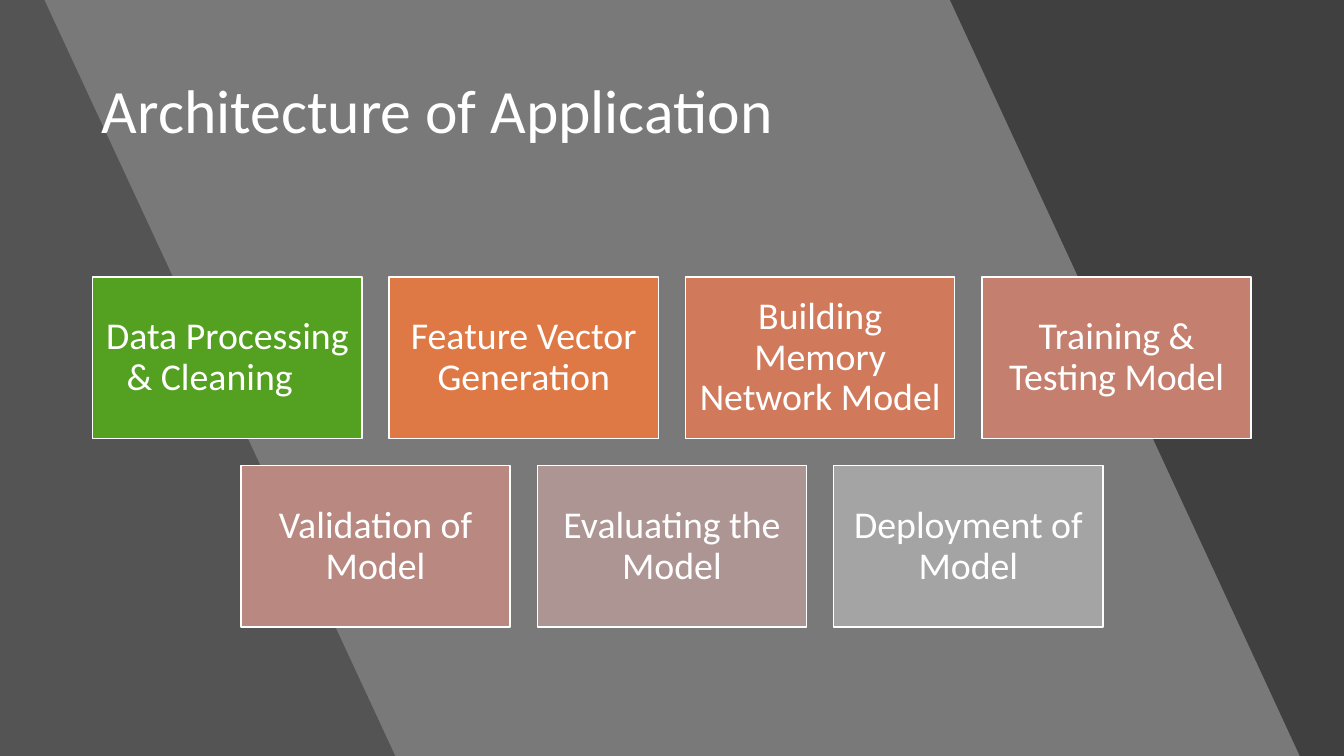
from lxml import etree
from pptx import Presentation
from pptx.dml.color import RGBColor
from pptx.enum.shapes import MSO_SHAPE
from pptx.enum.text import MSO_ANCHOR, MSO_AUTO_SIZE, PP_ALIGN
from pptx.oxml.ns import qn
from pptx.util import Pt

PX = 9144  # 100 px to the inch
SLIDE_W, SLIDE_H = 1333, 750
RECT = MSO_SHAPE.RECTANGLE
MIDDLE = MSO_ANCHOR.MIDDLE
NO_FIT = MSO_AUTO_SIZE.NONE
LEFT, CENTER = PP_ALIGN.LEFT, PP_ALIGN.CENTER

FONT = "Calibri"
WHITE = "FFFFFF"
BOX_W, BOX_H, GAP = 267, 160, 27
FIRST_ROW_TOP = 275
STEP_ROWS = [
    [("Data Processing & Cleaning\t", "54A021"),
     ("Feature Vector Generation", "DE7946"),
     ("Building Memory Network Model", "D07A5B"),
     ("Training & Testing Model", "C47F6E")],
    [("Validation of Model", "B88881"),
     ("Evaluating the Model", "AD9593"),
     ("Deployment of Model", "A4A4A4")],
]


def px(*lengths):
    return [length * PX for length in lengths]


def paint(fill, color):
    fill.solid()
    fill.fore_color.rgb = RGBColor.from_string(color)


def add_rect(s, x, y, w, h, color):
    sp = s.shapes.add_shape(RECT, *px(x, y, w, h))
    sp.shadow.inherit = False
    paint(sp.fill, color)
    sp.line.fill.background()
    return sp


def add_band(s, top_right, bottom_right, color, opacity):
    """Add a see-through slanted band from the left edge, opacity in percent."""
    builder = s.shapes.build_freeform(0, 0, scale=PX)
    builder.add_line_segments(
        [(top_right, 0), (bottom_right, SLIDE_H), (0, SLIDE_H)], close=True)
    sp = builder.convert_to_shape()
    sp.shadow.inherit = False
    paint(sp.fill, color)
    sp.line.fill.background()
    clr = sp.element.spPr.find(qn("a:solidFill"))[0]
    etree.SubElement(clr, qn("a:alpha")).set("val", str(opacity * 1000))


def write(tf, text, size, align):
    tf.word_wrap = True
    tf.auto_size = NO_FIT
    tf.vertical_anchor = MIDDLE
    p = tf.paragraphs[0]
    p.text = text
    p.alignment = align
    p.line_spacing = 0.9
    for r in p.runs:
        r.font.name = FONT
        r.font.size = Pt(size)
        paint(r.font.fill, WHITE)


def add_step(s, x, y, text, color):
    sp = add_rect(s, x, y, BOX_W, BOX_H, color)
    paint(sp.line.fill, WHITE)
    sp.line.width = Pt(1)
    tf = sp.text_frame
    tf.margin_left = tf.margin_right = tf.margin_top = tf.margin_bottom = 11 * PX
    write(tf, text, 27, CENTER)


def add_step_row(s, y, steps):
    """Add one row of step boxes, centred on the slide."""
    pitch = BOX_W + GAP
    left = (SLIDE_W - len(steps) * pitch + GAP) // 2
    for i, (text, color) in enumerate(steps):
        add_step(s, left + i * pitch, y, text, color)


def add_title(s, text):
    sp = s.shapes.title
    sp.left, sp.top, sp.width, sp.height = px(91, 40, 1151, 145)
    write(sp.text_frame, text, 44, LEFT)
    sp.element.getparent().append(sp.element)  # in front of the bands


def main():
    prs = Presentation()
    prs.slide_width, prs.slide_height = px(SLIDE_W, SLIDE_H)
    s = prs.slides.add_slide(prs.slide_layouts[5])
    add_rect(s, 0, 0, SLIDE_W, SLIDE_H, "404040")
    add_band(s, 942, 1289, WHITE, 30)
    add_band(s, 44, 392, "000000", 30)
    add_title(s, "Architecture of Application")
    for i, steps in enumerate(STEP_ROWS):
        add_step_row(s, FIRST_ROW_TOP + i * (BOX_H + GAP), steps)
    prs.save("out.pptx")


if __name__ == "__main__":
    main()
